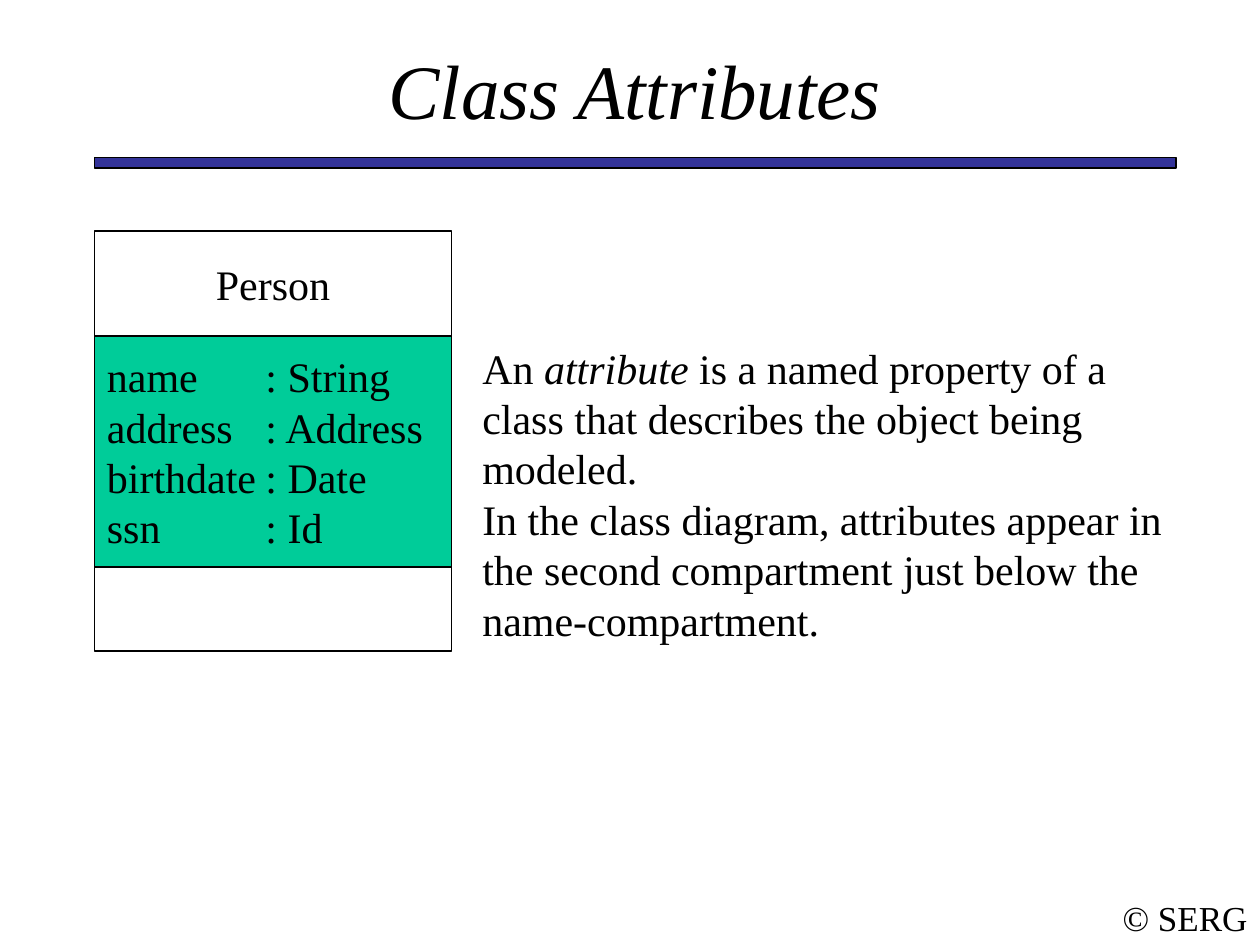
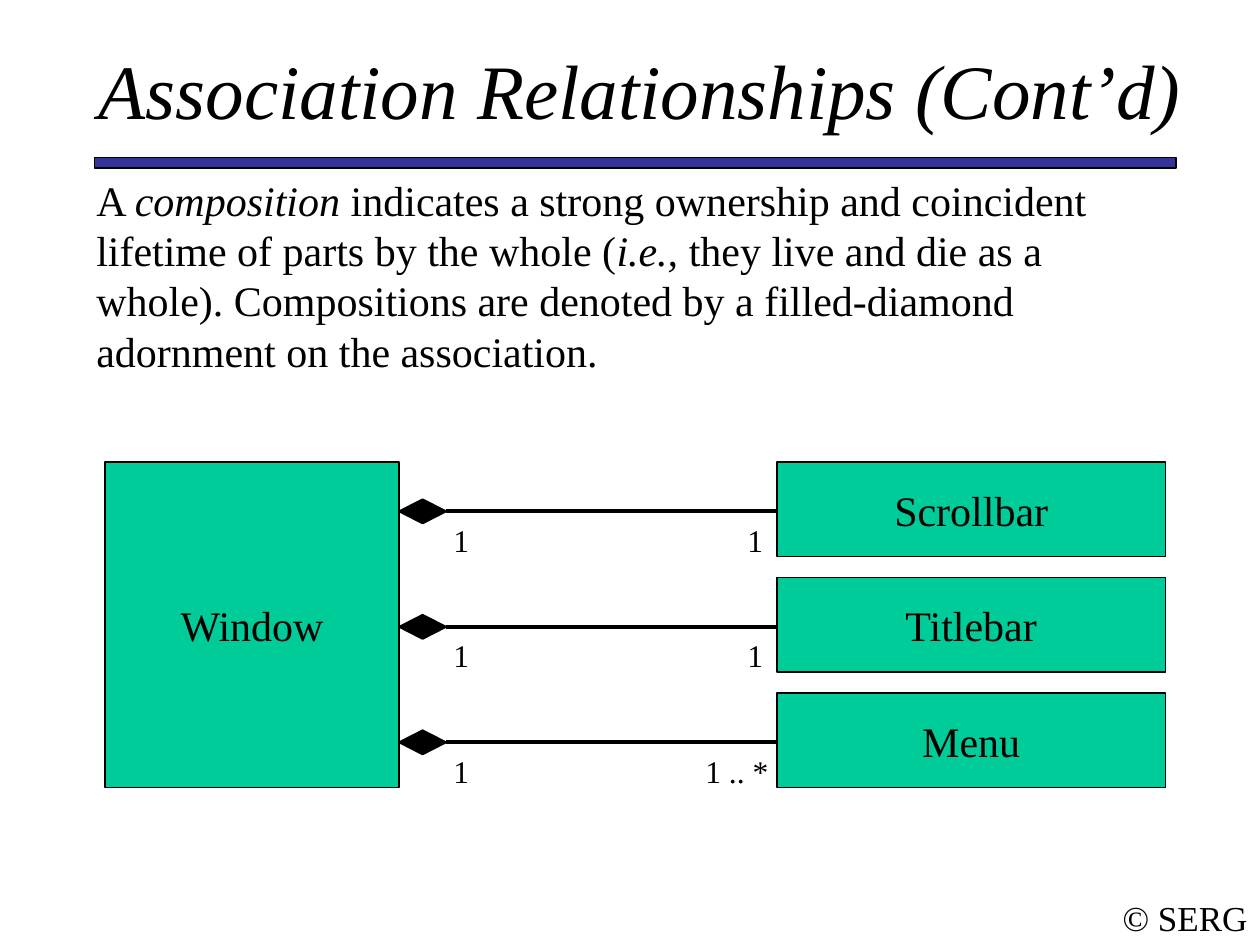
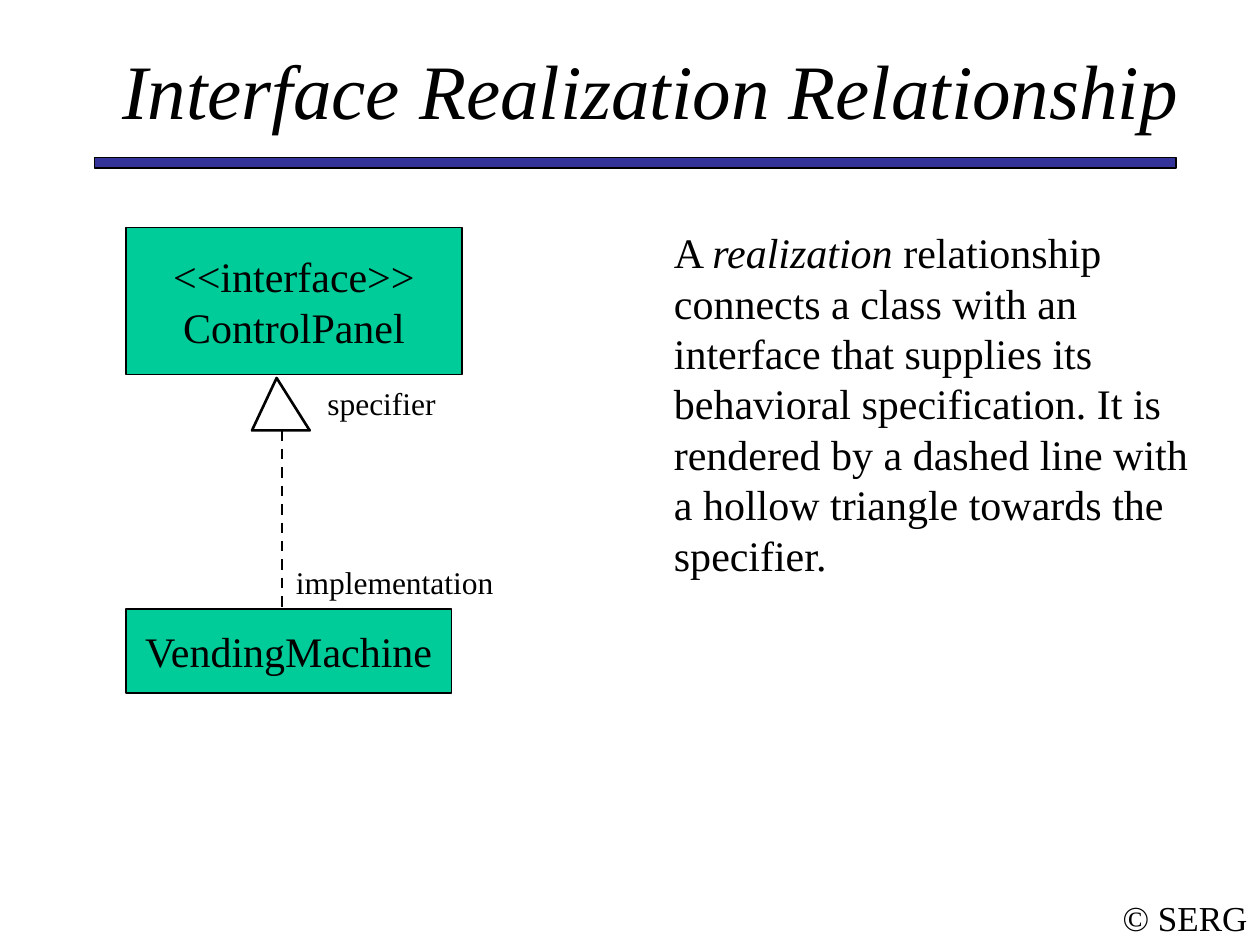
"""Build three slides on UML classes and their relationships."""
from lxml.etree import SubElement as Sub
from pptx import Presentation
from pptx.dml.color import RGBColor as Color
from pptx.enum.dml import MSO_LINE as Dash
from pptx.enum.shapes import MSO_CONNECTOR as Link, MSO_SHAPE as Kind
from pptx.enum.text import MSO_ANCHOR as Anchor, PP_ALIGN as Align
from pptx.oxml.ns import qn
from pptx.util import Inches, Pt

BLACK = Color(0x00, 0x00, 0x00)
WHITE = Color(0xFF, 0xFF, 0xFF)
GREEN = Color(0x00, 0xCC, 0x99)
BLUE = Color(0x33, 0x33, 0x99)
FONT = "Times New Roman"
WIDE, HIGH = Inches(10), Inches(7.5)
COLS, ROWS = 120, 90
LABEL = 4.8


def grid(*cells):
    """Turn alternating columns and rows into slide lengths."""
    sizes = WIDE / COLS, HIGH / ROWS
    return [round(cell * sizes[i % 2]) for i, cell in enumerate(cells)]


def write(frame, *lines, size=24, align=Align.LEFT, anchor=Anchor.TOP,
          slant=False, wrap=True, tab=None, inset=0.1):
    """Fill a frame with lines, where underscores enclose italic words."""
    frame.word_wrap = wrap
    frame.vertical_anchor = anchor
    frame.margin_left = frame.margin_right = Inches(inset)
    for i, line in enumerate(lines):
        para = frame.paragraphs[0] if i == 0 else frame.add_paragraph()
        para.alignment = align
        if tab:
            stops = Sub(para._p.get_or_add_pPr(), qn("a:tabLst"))
            Sub(stops, qn("a:tab"), pos=str(grid(tab)[0]), algn="l")
        for j, part in enumerate(line.split("_")):
            if part:
                run = para.add_run()
                run.text = part
                font = run.font
                font.name, font.size = FONT, Pt(size)
                font.italic = slant or j % 2 == 1
                font.color.rgb = BLACK


def note(slide, box, *lines, **style):
    """Add a text box."""
    write(slide.shapes.add_textbox(*grid(*box)).text_frame, *lines, **style)


def paint(shape, fill, width):
    """Give a shape a flat fill and a black outline."""
    shape.shadow.inherit = False
    shape.fill.solid()
    shape.fill.fore_color.rgb = fill
    shape.line.color.rgb = BLACK
    shape.line.width = Pt(width)


def block(slide, box, *lines, fill=GREEN, **style):
    """Add an outlined rectangle with text in its middle."""
    shape = slide.shapes.add_shape(Kind.RECTANGLE, *grid(*box))
    paint(shape, fill, 0.75)
    style = {"align": Align.CENTER, "anchor": Anchor.MIDDLE, **style}
    write(shape.text_frame, *lines, **style)


def trace(slide, points, fill, width):
    """Add a closed outline through the given grid points."""
    start, *rest = [grid(*point) for point in points]
    pen = slide.shapes.build_freeform(*start)
    pen.add_line_segments(rest, close=True)
    paint(pen.convert_to_shape(), fill, width)


def rule(slide, ends, width, dash=None):
    """Add a straight black line."""
    line = slide.shapes.add_connector(Link.STRAIGHT, *grid(*ends))
    line.line.color.rgb = BLACK
    line.line.width = Pt(width)
    if dash:
        line.line.dash_style = dash
    Sub(line._element.spPr, qn("a:effectLst"))


def page(deck, title, left=9, width=106):
    """Start a slide with its title, band and footer."""
    slide = deck.slides.add_slide(deck.slide_layouts[6])
    style = {"align": Align.CENTER, "anchor": Anchor.MIDDLE,
             "wrap": False, "inset": 0}
    note(slide, (105.75, 84.85, 14.25, 5.15), "© SERG", size=20, **style)
    block(slide, (9, 15, 103, 1), fill=BLUE)
    note(slide, (left, 5, width, 7), title, size=44, slant=True, **style)
    return slide


def card(slide, box, name, fields):
    """Draw a class with name, attribute and empty compartments."""
    left, top, width, height = box
    unit = height / 20
    block(slide, (left, top, width, 5 * unit), name, fill=WHITE)
    block(slide, (left, top + 5 * unit, width, 11 * unit),
          *[f"{key}\t: {kind}" for key, kind in fields],
          align=Align.LEFT, tab=15.1)
    block(slide, (left, top + 16 * unit, width, 4 * unit), fill=WHITE)


def whole(slide, box, name, parts):
    """Draw a whole joined to its stacked parts by filled diamonds."""
    left, top, width, height = box
    side, part, gap = 28, 37, 2
    tall = (height - gap * (len(parts) - 1)) / len(parts)
    edge, far = left + side, left + width - part
    block(slide, (left, top, side, height), name)
    for i, (label, count, back, room) in enumerate(parts):
        row = top + i * (tall + gap)
        mid = row + 4.7
        tip = edge + 4.5
        rule(slide, (tip, mid, far + 0.5, mid), 2.25)
        trace(slide, [(edge, mid), (edge + 2.25, mid - 1.15),
                      (tip, mid), (edge + 2.25, mid + 1.15)], BLACK, 1)
        block(slide, (far, row, part, tall), label)
        note(slide, (edge + 4, row + 5, 4, LABEL), "1", size=18)
        note(slide, (far - back, row + 5, room, LABEL), count, size=18)


def realize(slide, box):
    """Draw a class that realizes an interface above it."""
    left, top, width, height = box
    foot, base = top + height - 8, top + 19.3
    block(slide, (left, top, width, 14), "<<interface>>", "ControlPanel")
    block(slide, (left, foot, width - 1, 8), "VendingMachine")
    rule(slide, (left + 14.85, base, left + 14.85, foot), 1.5, Dash.DASH)
    trace(slide, [(left + 14.35, top + 14.3), (left + 12, base),
                  (left + 17.5, base)], WHITE, 1.5)
    note(slide, (left + 18, top + 14.3, 13, LABEL), "specifier", size=18)
    note(slide, (left + 15, foot - 5, 22, LABEL), "implementation", size=18)


def main():
    """Build and save the deck."""
    deck = Presentation()
    deck.slide_width, deck.slide_height = WIDE, HIGH

    slide = page(deck, "Class Attributes", width=103)
    card(slide, (9, 22, 34, 40), "Person",
         [("name", "String"), ("address", "Address"),
          ("birthdate", "Date"), ("ssn", "Id")])
    note(slide, (44.75, 32, 69, 30.2),
         "An _attribute_ is a named property of a class that describes "
         "the object being modeled.",
         "In the class diagram, attributes appear in the second compartment "
         "just below the name-compartment.")

    slide = page(deck, "Association Relationships (Cont’d)", left=8)
    note(slide, (8, 16, 103, 20.4),
         "A _composition _indicates a strong ownership and coincident "
         "lifetime of parts by the whole (_i.e.,_ they live and die as a "
         "whole). Compositions are denoted by a filled-diamond adornment "
         "on the association.")
    whole(slide, (10, 44, 101, 31), "Window",
          [("Scrollbar", "1", 4, 4), ("Titlebar", "1", 4, 4),
           ("Menu", "1 .. *", 8, 10)])

    slide = page(deck, "Interface Realization Relationship")
    realize(slide, (12, 21.7, 32, 44.3))
    note(slide, (63, 21, 52, 34.8),
         "A _realization_ relationship connects a class with an interface "
         "that supplies its behavioral specification. It is rendered by a "
         "dashed line with a hollow triangle towards the specifier.")
    deck.save("out.pptx")


if __name__ == "__main__":
    main()
